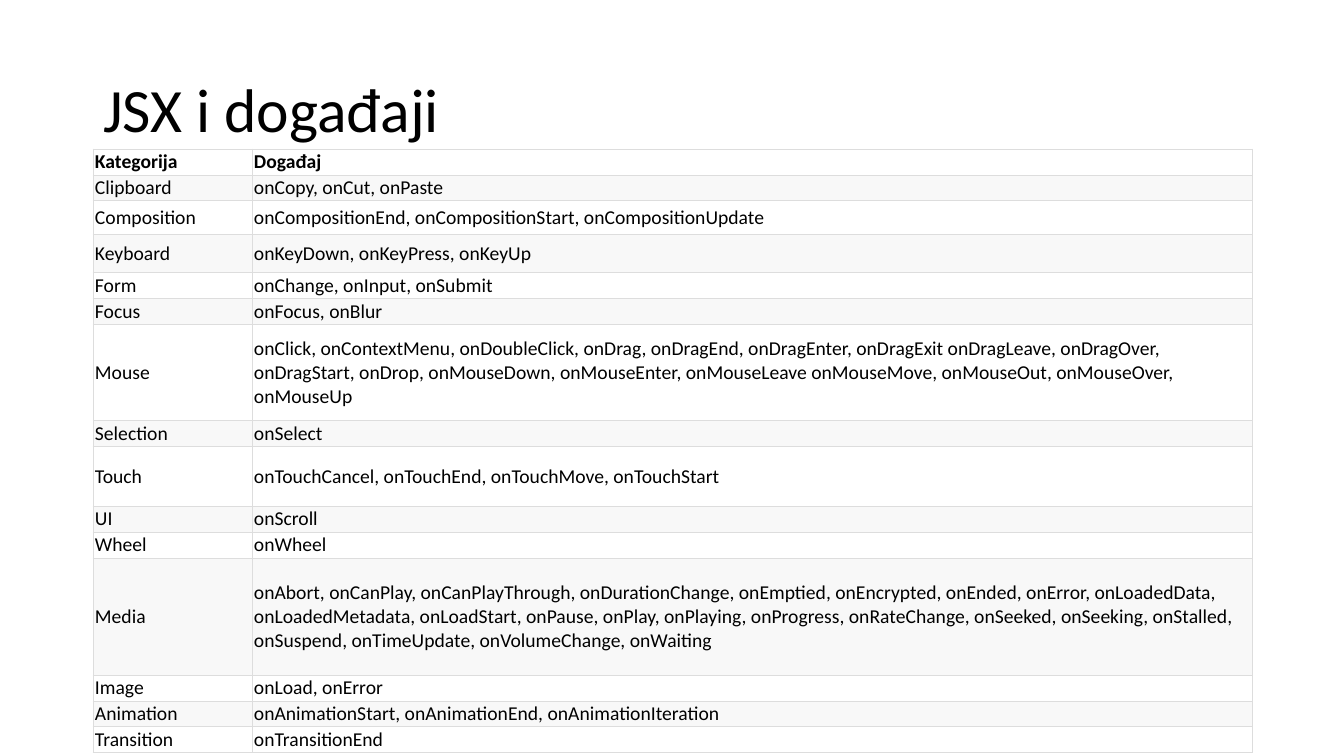
from lxml.etree import SubElement
from pptx import Presentation
from pptx.dml.color import RGBColor
from pptx.enum.text import MSO_ANCHOR, MSO_AUTO_SIZE, PP_ALIGN
from pptx.oxml.ns import qn
from pptx.util import Emu, Pt

FONT = "Calibri"
COLUMNS = [159, 1000]
SHORT = 25
EVENTS = [
    ("Kategorija", "Događaj", SHORT),
    ("Clipboard", "onCopy, onCut, onPaste", SHORT),
    ("Composition", "onCompositionEnd, onCompositionStart, onCompositionUpdate", 34),
    ("Keyboard", "onKeyDown, onKeyPress, onKeyUp", 38),
    ("Form", "onChange, onInput, onSubmit", SHORT),
    ("Focus", "onFocus, onBlur", SHORT),
    ("Mouse", "onClick, onContextMenu, onDoubleClick, onDrag, onDragEnd, onDragEnter, "
     "onDragExit onDragLeave, onDragOver, onDragStart, onDrop, onMouseDown, "
     "onMouseEnter, onMouseLeave onMouseMove, onMouseOut, onMouseOver, onMouseUp", 96),
    ("Selection", "onSelect", SHORT),
    ("Touch", "onTouchCancel, onTouchEnd, onTouchMove, onTouchStart", 60),
    ("UI", "onScroll", SHORT),
    ("Wheel", "onWheel", SHORT),
    ("Media", "onAbort, onCanPlay, onCanPlayThrough, onDurationChange, onEmptied, "
     "onEncrypted, onEnded, onError, onLoadedData, onLoadedMetadata, onLoadStart, "
     "onPause, onPlay, onPlaying, onProgress, onRateChange, onSeeked, onSeeking, "
     "onStalled, onSuspend, onTimeUpdate, onVolumeChange, onWaiting", 117),
    ("Image", "onLoad, onError", SHORT),
    ("Animation", "onAnimationStart, onAnimationEnd, onAnimationIteration", SHORT),
    ("Transition", "onTransitionEnd", SHORT),
]


def px(n):
    """Turn pixels into EMU."""
    return Emu(round(n * 914400 / 100.8))


def rgb(color):
    """Turn a hex string into a colour."""
    return RGBColor.from_string(color)


def add_run(p, text, size, bold=False):
    """Add one formatted run to a paragraph."""
    r = p.add_run()
    r.text = text
    r.font.name = FONT
    r.font.size = Pt(size)
    r.font.bold = bold
    r.font.color.rgb = rgb("000000")


def add_borders(cell, color, width):
    """Draw the four borders of a cell."""
    tc_pr = cell._tc.get_or_add_tcPr()
    for side in ("lnL", "lnR", "lnT", "lnB"):
        ln = SubElement(tc_pr, qn(f"a:{side}"), w=str(Pt(width)))
        fill = SubElement(ln, qn("a:solidFill"))
        SubElement(fill, qn("a:srgbClr"), val=color)


def add_title(s, text, x, y, w, h):
    """Place the slide title in its box."""
    sp = s.shapes.title
    sp.left, sp.top, sp.width, sp.height = px(x), px(y), px(w), px(h)
    tf = sp.text_frame
    tf.auto_size = MSO_AUTO_SIZE.NONE
    tf.vertical_anchor = MSO_ANCHOR.MIDDLE
    p = tf.paragraphs[0]
    p.alignment = PP_ALIGN.LEFT
    p.line_spacing = 0.9
    add_run(p, text, 44)


def fill_cell(cell, text, color, bold):
    """Format one table cell and write its text."""
    cell.margin_left = cell.margin_right = px(2)
    cell.margin_top = cell.margin_bottom = px(1)
    cell.vertical_anchor = MSO_ANCHOR.MIDDLE
    add_borders(cell, "DDDDDD", 0.6)
    cell.fill.solid()
    cell.fill.fore_color.rgb = rgb(color)
    add_run(cell.text_frame.paragraphs[0], text, 14, bold)


def add_event_table(s, x, y):
    """Place the table of event categories from its top left corner."""
    height = sum(row[-1] for row in EVENTS)
    table = s.shapes.add_table(len(EVENTS), len(COLUMNS), px(x), px(y),
                               px(sum(COLUMNS)), px(height)).table
    table.first_row = table.horz_banding = False
    for column, width in zip(table.columns, COLUMNS):
        column.width = px(width)
    for i, (category, events, row_height) in enumerate(EVENTS):
        table.rows[i].height = px(row_height)
        color = "F8F8F8" if i % 2 else "FFFFFF"
        for j, text in enumerate((category, events)):
            fill_cell(table.cell(i, j), text, color, i == 0)


def main():
    """Build the slide and save it."""
    prs = Presentation()
    prs.slide_width, prs.slide_height = px(1344), px(756)
    s = prs.slides.add_slide(prs.slide_layouts[5])
    add_title(s, "JSX i događaji", 93, 40, 1159, 146)
    add_event_table(s, 93, 149)
    prs.save("out.pptx")


if __name__ == "__main__":
    main()
